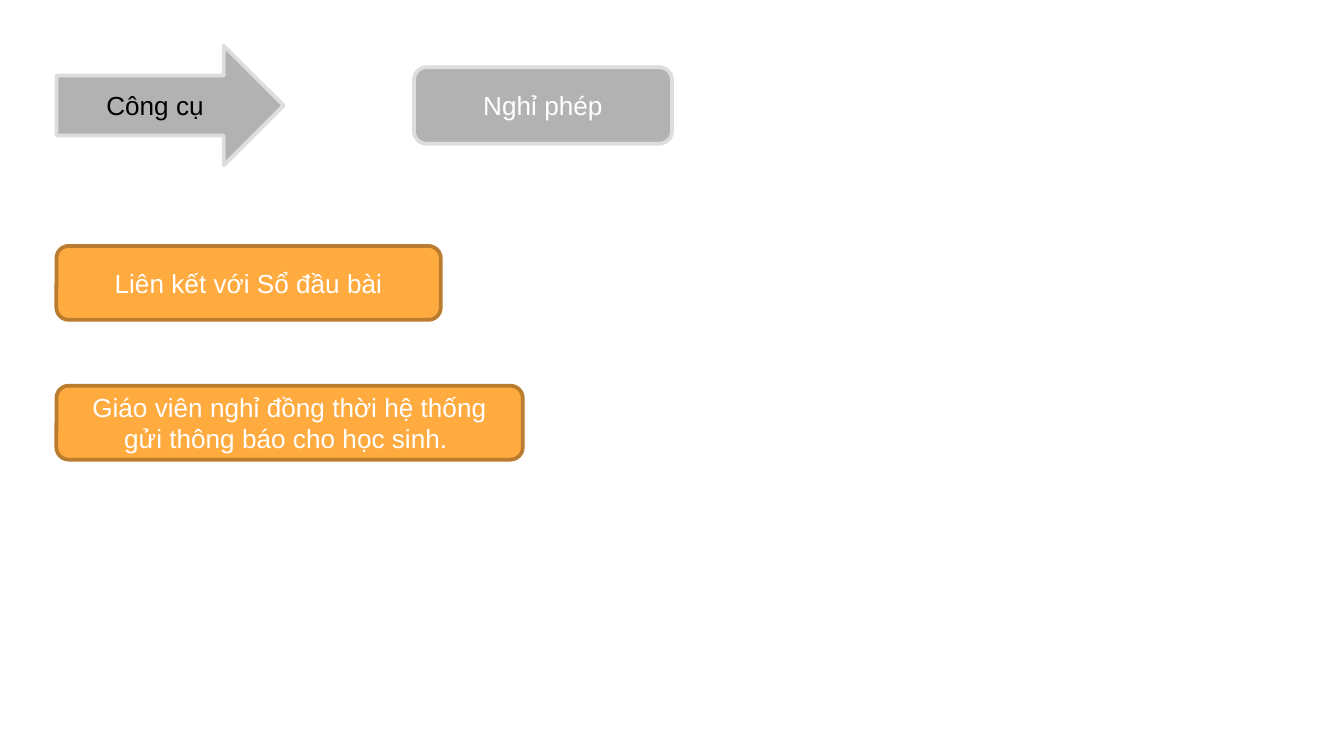
from dataclasses import dataclass

import pptx
import pptx.dml.color
import pptx.enum.shapes
import pptx.enum.text
import pptx.shapes.autoshape
import pptx.slide
import pptx.util
from pptx.util import Inches

ShapeType = pptx.enum.shapes.MSO_SHAPE


@dataclass(frozen=True)
class Palette:
    fill: str
    line: str


@dataclass(frozen=True)
class Theme:
    font: str = "Arial"
    text_size: float = 14
    line_width: float = 2
    dark_text: str = "000000"
    light_text: str = "FFFFFF"
    gray: Palette = Palette("B2B2B2", "DDDDDD")
    orange: Palette = Palette("FFAB40", "BA7C2E")


THEME = Theme()
SLIDE_WIDTH = 10
SLIDE_HEIGHT = SLIDE_WIDTH * 9 / 16
LEFT_MARGIN = 0.42
NOTE_HEIGHT = 0.55


@dataclass(frozen=True)
class Box:
    text: str
    left: float
    top: float
    width: float
    height: float
    palette: Palette
    kind: ShapeType = ShapeType.ROUNDED_RECTANGLE
    text_color: str = THEME.light_text


BOXES = [
    Box("Công cụ", LEFT_MARGIN, 0.34, 1.69, 0.89, THEME.gray,
        ShapeType.RIGHT_ARROW, THEME.dark_text),
    Box("Nghỉ phép", 3.08, 0.5, 1.92, 0.57, THEME.gray),
    Box("Liên kết với Sổ đầu bài", LEFT_MARGIN, 1.83, 2.86, NOTE_HEIGHT, THEME.orange),
    Box("Giáo viên nghỉ đồng thời hệ thống gửi thông báo cho học sinh. ",
        LEFT_MARGIN, 2.87, 3.47, NOTE_HEIGHT, THEME.orange),
]


def rgb(color: str) -> pptx.dml.color.RGBColor:
    return pptx.dml.color.RGBColor.from_string(color)


def write_text(shape: pptx.shapes.autoshape.Shape, text: str, *, color: str,
               size: float = THEME.text_size, font: str = THEME.font) -> None:
    frame = shape.text_frame
    frame.word_wrap = True
    frame.vertical_anchor = pptx.enum.text.MSO_ANCHOR.MIDDLE
    paragraph = frame.paragraphs[0]
    paragraph.alignment = pptx.enum.text.PP_ALIGN.CENTER
    run = paragraph.add_run()
    run.text = text
    run.font.name = font
    run.font.size = pptx.util.Pt(size)
    run.font.color.rgb = rgb(color)


def draw_box(slide: pptx.slide.Slide, box: Box) -> None:
    shape = slide.shapes.add_shape(
        box.kind, Inches(box.left), Inches(box.top), Inches(box.width), Inches(box.height))
    shape.shadow.inherit = False
    shape.fill.solid()
    shape.fill.fore_color.rgb = rgb(box.palette.fill)
    shape.line.color.rgb = rgb(box.palette.line)
    shape.line.width = pptx.util.Pt(THEME.line_width)
    write_text(shape, box.text, color=box.text_color)


def main() -> None:
    presentation = pptx.Presentation()
    presentation.slide_width = Inches(SLIDE_WIDTH)
    presentation.slide_height = Inches(SLIDE_HEIGHT)
    blank_layout = presentation.slide_layouts[6]
    slide = presentation.slides.add_slide(blank_layout)
    for box in BOXES:
        draw_box(slide, box)
    presentation.save("out.pptx")


if __name__ == "__main__":
    main()
